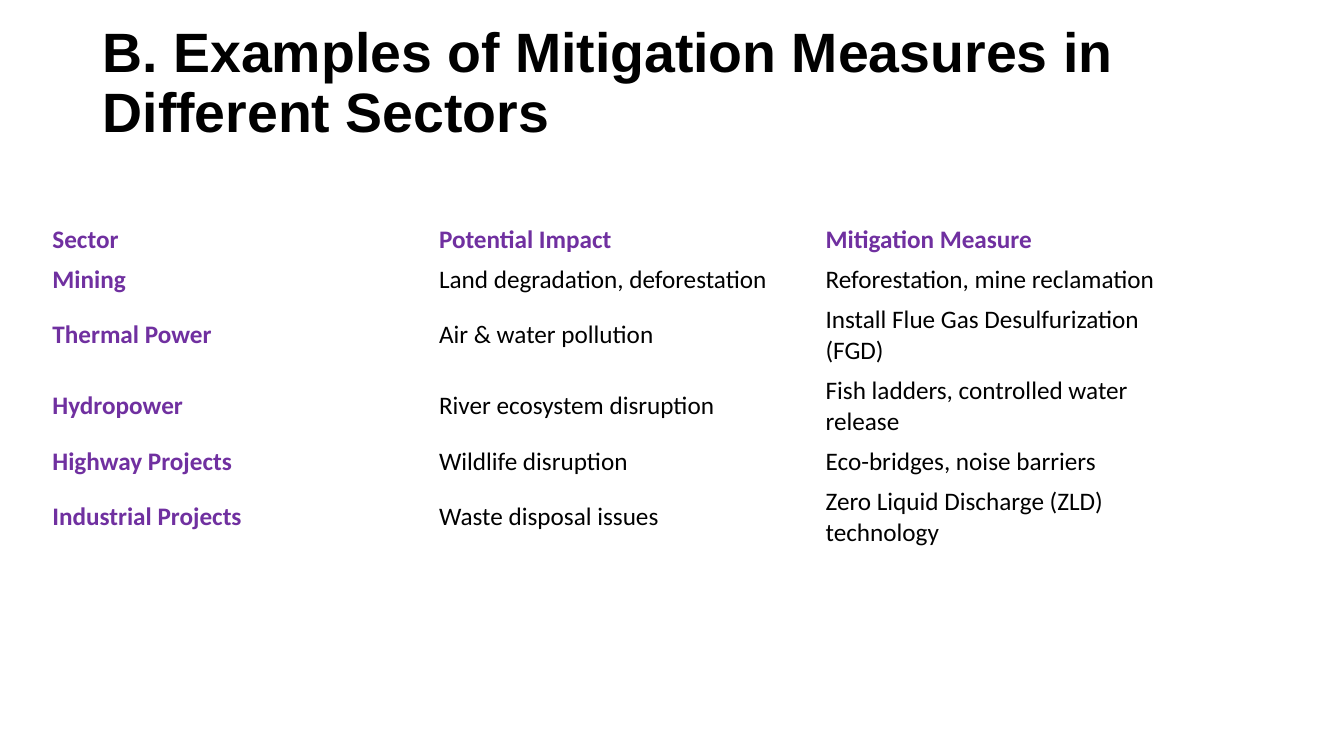
from dataclasses import dataclass

from pptx import Presentation
from pptx.dml.color import RGBColor
from pptx.enum.text import MSO_ANCHOR
from pptx.util import Inches, Pt


@dataclass(frozen=True)
class Theme:
    ink: RGBColor = RGBColor(0x00, 0x00, 0x00)
    accent: RGBColor = RGBColor(0x70, 0x30, 0xA0)
    title_font: str = "Arial"
    body_font: str = "Calibri"
    title_size: float = 39.6
    body_size: float = 18


WIDTH, HEIGHT = Inches(13.33), Inches(7.5)
TITLE = "B. Examples of Mitigation Measures in Different Sectors"
MEASURES = [
    ("Sector", "Potential Impact", "Mitigation Measure"),
    ("Mining", "Land degradation, deforestation", "Reforestation, mine reclamation"),
    ("Thermal Power", "Air & water pollution", "Install Flue Gas Desulfurization (FGD)"),
    ("Hydropower", "River ecosystem disruption", "Fish ladders, controlled water release"),
    ("Highway Projects", "Wildlife disruption", "Eco-bridges, noise barriers"),
    ("Industrial Projects", "Waste disposal issues", "Zero Liquid Discharge (ZLD) technology"),
]


class SlideBuilder:
    """Places styled elements, with lengths as shares of the slide's size."""

    def __init__(self, prs, theme):
        self.theme = theme
        self.s = prs.slides.add_slide(prs.slide_layouts[6])

    def box(self, x, y, w, h):
        return int(x * WIDTH), int(y * HEIGHT), int(w * WIDTH), int(h * HEIGHT)

    def style(self, tf, font, size, color, bold):
        for p in tf.paragraphs:
            for r in p.runs:
                r.font.name, r.font.size = font, Pt(size)
                r.font.color.rgb, r.font.bold = color, bold

    def title(self, text, x, y, w, h):
        tf = self.s.shapes.add_textbox(*self.box(x, y, w, h)).text_frame
        tf.word_wrap = True
        tf.vertical_anchor = MSO_ANCHOR.MIDDLE
        tf.margin_bottom = Inches(0.62)  # lifts the title above the box's centre
        tf.text = text
        tf.paragraphs[0].line_spacing = 0.9
        self.style(tf, self.theme.title_font, self.theme.title_size, self.theme.ink, True)

    def table(self, rows, x, y, w, row_h):
        """Plain table whose first row and first column are emphasised."""
        frame = self.s.shapes.add_table(
            len(rows), len(rows[0]), *self.box(x, y, w, row_h * len(rows)))
        table = frame.table
        table.horz_banding = False
        for i, row in enumerate(rows):
            for j, text in enumerate(row):
                cell = table.cell(i, j)
                cell.fill.background()
                cell.vertical_anchor = MSO_ANCHOR.MIDDLE
                cell.text_frame.text = text
                heading = i == 0 or j == 0
                color = self.theme.accent if heading else self.theme.ink
                self.style(cell.text_frame, self.theme.body_font,
                           self.theme.body_size, color, heading)
        # "No Style, No Grid": no fills and no borders
        style_id = table._tbl.tblPr.find(
            "{http://schemas.openxmlformats.org/drawingml/2006/main}tableStyleId")
        style_id.text = "{2D5ABB26-0587-4C30-8999-92F81FD0307C}"


def main():
    prs = Presentation()
    prs.slide_width, prs.slide_height = WIDTH, HEIGHT
    slide = SlideBuilder(prs, Theme())
    slide.title(TITLE, 0.069, 0.053, 0.863, 0.193)
    slide.table(MEASURES, 0.0315, 0.29, 0.863, 0.053)
    prs.save("out.pptx")


if __name__ == "__main__":
    main()
